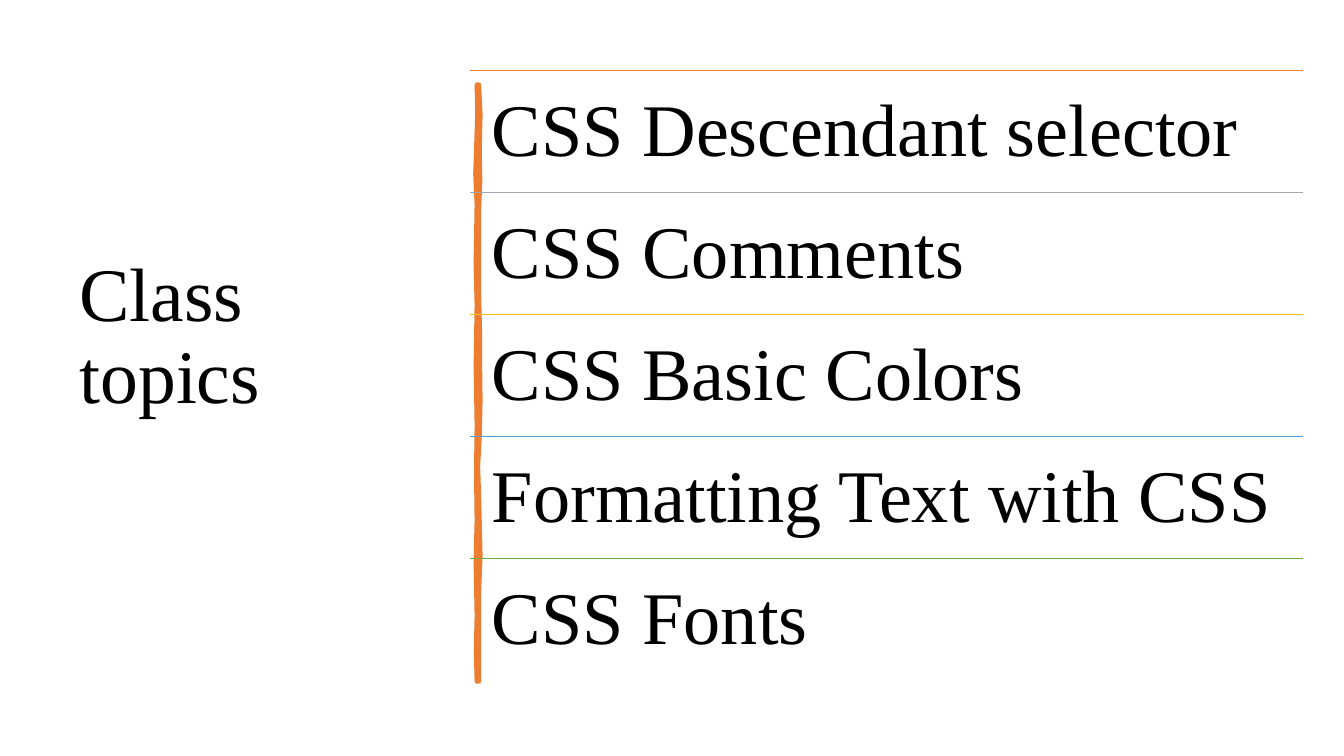
from dataclasses import dataclass

from lxml.etree import SubElement
from pptx import Presentation
from pptx.dml.color import RGBColor
from pptx.enum.shapes import MSO_CONNECTOR
from pptx.enum.text import MSO_ANCHOR
from pptx.oxml.ns import qn
from pptx.util import Inches, Pt


@dataclass(frozen=True)
class Theme:
    font: str = "Times New Roman"
    text: str = "000000"
    accent: str = "ED7D31"
    title_size: float = 54
    topic_size: float = 53
    rule_width: float = 1
    spine_width: float = 3.25


THEME = Theme()
SLIDE_WIDTH, SLIDE_HEIGHT = 13.33, 7.5

# Boxes are left, top, width, height in inches
TITLE_BOX = (0.69, 0.7, 3.74, 6.11)
SPINE_BOX = (4.73, 0.84, 0.02, 5.92)
TOPICS_BOX = (4.66, 0.7, 8.26, 6.05)

TOPICS = [
    ("CSS Descendant selector", "ED7D31"),
    ("CSS Comments", "A5A5A5"),
    ("CSS Basic Colors", "FFC000"),
    ("Formatting Text with CSS", "5B9BD5"),
    ("CSS Fonts", "70AD47"),
]

# Wobble of the brush stroke: (share of height, shift in widths)
RIGHT_EDGE = [(0, 0), (0.05, 0.7), (0.11, 0.3), (0.16, 0.6), (0.21, 0),
              (0.35, 0), (0.42, 0.5), (0.47, 0.5), (0.53, 0.7), (0.59, 0.3),
              (0.64, -0.5), (0.69, 0), (0.79, 0.7), (0.85, 0), (1, 0)]
LEFT_EDGE = [(1, 0), (0.95, -0.4), (0.89, 0), (0.8, -0.5), (0.73, 0),
             (0.65, -0.3), (0.57, 0), (0.47, -0.5), (0.37, 0), (0.3, -0.5),
             (0.2, 0), (0.15, -0.7), (0.1, -0.2), (0.05, 0.3), (0, 0)]


def add_text(page, box, text, size, insets):
    area = page.shapes.add_textbox(*map(Inches, box))
    frame = area.text_frame
    frame.word_wrap = True
    frame.vertical_anchor = MSO_ANCHOR.MIDDLE
    (frame.margin_left, frame.margin_top,
     frame.margin_right, frame.margin_bottom) = map(Inches, insets)
    para = frame.paragraphs[0]
    para.text = text
    para.line_spacing = 0.9
    para.font.name = THEME.font
    para.font.size = Pt(size)
    para.font.color.rgb = RGBColor.from_string(THEME.text)
    return frame


def add_title(page, box):
    # The deep lower inset lifts the title above the middle
    add_text(page, box, "Class topics", THEME.title_size,
             (0.1, 0.05, 0.1, 0.85))


def add_spine(page, box):
    left, top, width, height = box
    outline = [(left + width * (1 + shift), top + height * share)
               for share, shift in RIGHT_EDGE]
    outline += [(left + width * shift, top + height * share)
                for share, shift in LEFT_EDGE]
    points = [(Inches(x), Inches(y)) for x, y in outline]
    builder = page.shapes.build_freeform(*points[0])
    builder.add_line_segments(points[1:], close=True)
    spine = builder.convert_to_shape()
    spine.shadow.inherit = False
    spine.fill.solid()
    spine.fill.fore_color.rgb = RGBColor.from_string(THEME.accent)
    spine.line.color.rgb = RGBColor.from_string(THEME.accent)
    spine.line.width = Pt(THEME.spine_width)
    SubElement(spine.line._get_or_add_ln(), qn("a:round"))


def add_rule(page, left, top, width, color):
    rule = page.shapes.add_connector(
        MSO_CONNECTOR.STRAIGHT,
        Inches(left), Inches(top), Inches(left + width), Inches(top))
    rule.line.color.rgb = RGBColor.from_string(color)
    rule.line.width = Pt(THEME.rule_width)
    SubElement(rule._element.spPr, qn("a:effectLst"))


def add_topics(page, box):
    left, top, width, height = box
    row_height = height / len(TOPICS)
    for row, (topic, color) in enumerate(TOPICS):
        row_top = top + row * row_height
        add_rule(page, left, row_top, width, color)
        add_text(page, (left, row_top, width, row_height), topic,
                 THEME.topic_size, (0.22,) * 4).vertical_anchor = MSO_ANCHOR.TOP


def main():
    deck = Presentation()
    deck.slide_width = Inches(SLIDE_WIDTH)
    deck.slide_height = Inches(SLIDE_HEIGHT)
    page = deck.slides.add_slide(deck.slide_layouts[6])
    add_title(page, TITLE_BOX)
    add_spine(page, SPINE_BOX)
    add_topics(page, TOPICS_BOX)
    deck.save("out.pptx")


if __name__ == "__main__":
    main()
